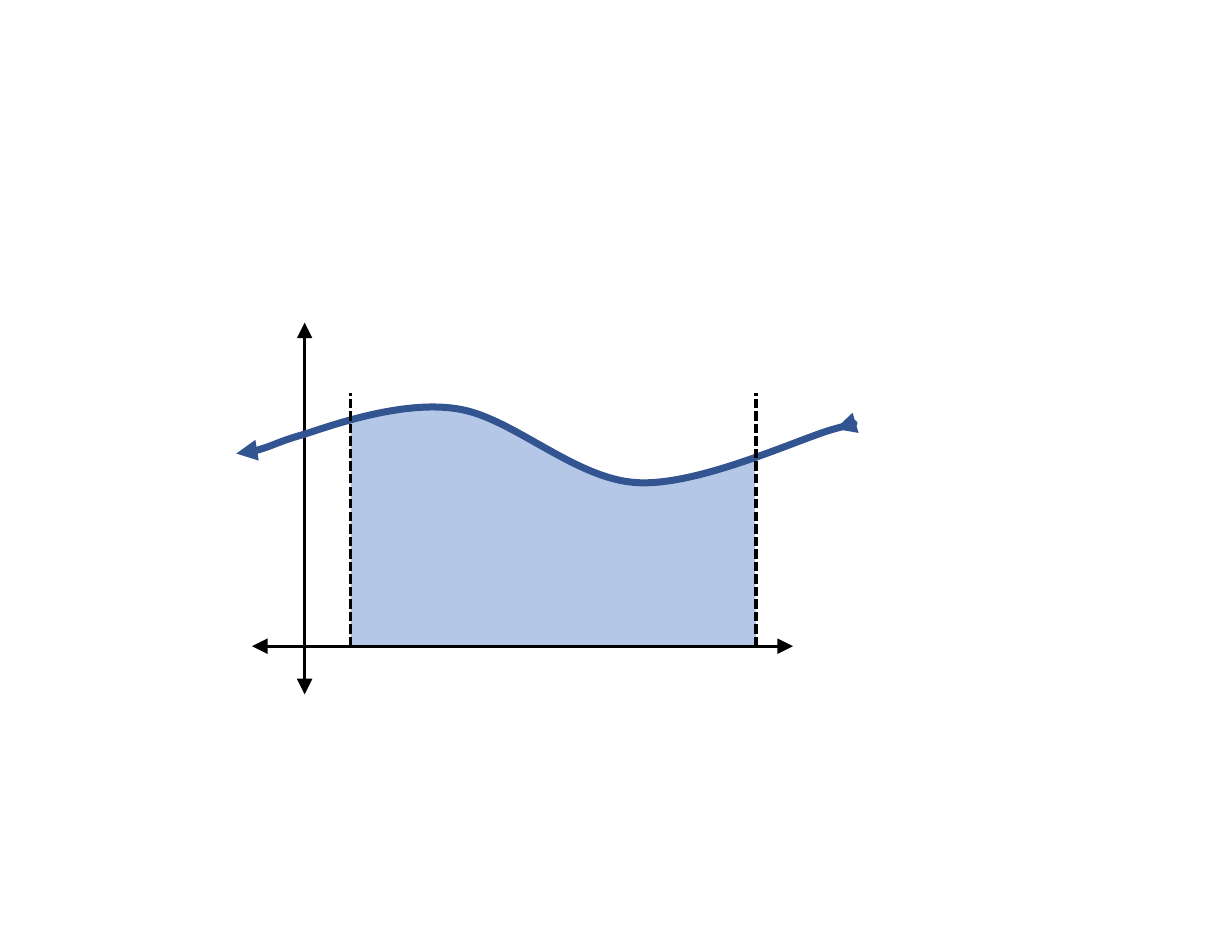
from lxml import etree
from pptx import Presentation
from pptx.dml.color import RGBColor
from pptx.enum import dml, shapes
from pptx.oxml.ns import qn
from pptx.util import Inches, Pt

BLACK, BLUE, PALE = "000000", "325491", "B4C7E7"
AXIS_Y, DASH_TOP = 5.77, 3.51
BOUNDS = [6.75, 3.13]
AXES = [((2.25, AXIS_Y), (7.08, AXIS_Y)), ((2.72, 6.2), (2.72, 2.88))]

AREA_FRAME = (3.13, 3.63, 3.62, 2.14)
AREA = [
    [(3.83, 3.63)],
    [(3.95, 3.63), (4.08, 3.64), (4.22, 3.67)],
    [(4.59, 3.77), (5.12, 4.22), (5.54, 4.28)],
    [(5.96, 4.35), (6.43, 4.17), (6.74, 4.08)],
    [(6.74, 4.41), (6.74, 5.18), (6.75, 5.67)],
    [(6.75, AXIS_Y)],
    [(3.13, AXIS_Y)],
    [(3.13, 3.77)],
    [(3.17, 3.75), (3.21, 3.74), (3.32, 3.71)],
    [(3.47, 3.67), (3.64, 3.63), (3.83, 3.63)],
]
CURVE_FRAME = (2.11, 3.63, 5.51, 0.68)
CURVE = [
    [(2.11, 4.05)],
    [(2.33, 4.04), (2.49, 3.94), (2.71, 3.88)],
    [(2.93, 3.81), (3.58, 3.57), (4.08, 3.65)],
    [(4.57, 3.72), (5.13, 4.28), (5.69, 4.31)],
    [(6.25, 4.34), (7.15, 3.91), (7.45, 3.83)],
    [(7.74, 3.75), (7.58, 3.79), (7.46, 3.83)],
]


def color(value):
    return RGBColor.from_string(value)


def style_line(shape, value, width, arrow_size=None):
    shape.line.color.rgb = color(value)
    shape.line.width = Pt(width)
    if arrow_size:
        ln = shape.line._get_or_add_ln()
        for tag in ("a:headEnd", "a:tailEnd"):
            etree.SubElement(ln, qn(tag), type="triangle",
                             w=arrow_size, len=arrow_size)


def add_line(s, start, end):
    line = s.shapes.add_connector(
        shapes.MSO_CONNECTOR.STRAIGHT, *[Inches(v) for v in start + end])
    etree.SubElement(line._element.spPr, qn("a:effectLst"))
    return line


def add_curved(s, segments, frame, closed):
    points = [(Inches(x), Inches(y)) for segment in segments for x, y in segment]
    builder = s.shapes.build_freeform(*points[0])
    builder.add_line_segments(points[1:], close=closed)
    shape = builder.convert_to_shape()
    shape.shadow.inherit = False
    left, top, width, height = [Inches(v) for v in frame]
    dx, dy = shape.left - left, shape.top - top
    shape.left, shape.top, shape.width, shape.height = left, top, width, height

    path = next(shape._element.iter(qn("a:path")))
    path.set("w", str(width))
    path.set("h", str(height))
    for pt in path.iter(qn("a:pt")):
        pt.set("x", str(int(pt.get("x")) + dx))
        pt.set("y", str(int(pt.get("y")) + dy))
    steps = iter(path.findall(qn("a:lnTo")))
    for segment in segments[1:]:
        group = [next(steps) for _ in segment]
        if len(group) == 3:
            bezier = etree.Element(qn("a:cubicBezTo"))
            group[0].addprevious(bezier)
            for step in group:
                bezier.append(step[0])
                path.remove(step)
    return shape


prs = Presentation()
prs.slide_width, prs.slide_height = Inches(11), Inches(8.5)
s = prs.slides.add_slide(prs.slide_layouts[6])

area = add_curved(s, AREA, AREA_FRAME, True)
area.fill.solid()
area.fill.fore_color.rgb = color(PALE)
area.line.fill.background()

for start, end in AXES:
    style_line(add_line(s, start, end), BLACK, 2, "lg")

curve = add_curved(s, CURVE, CURVE_FRAME, False)
curve.fill.background()
style_line(curve, BLUE, 4.5, "med")

for x in BOUNDS:
    bound = add_line(s, (x, AXIS_Y), (x, DASH_TOP))
    style_line(bound, BLACK, 2)
    bound.line.dash_style = dml.MSO_LINE.SQUARE_DOT

prs.save("out.pptx")
